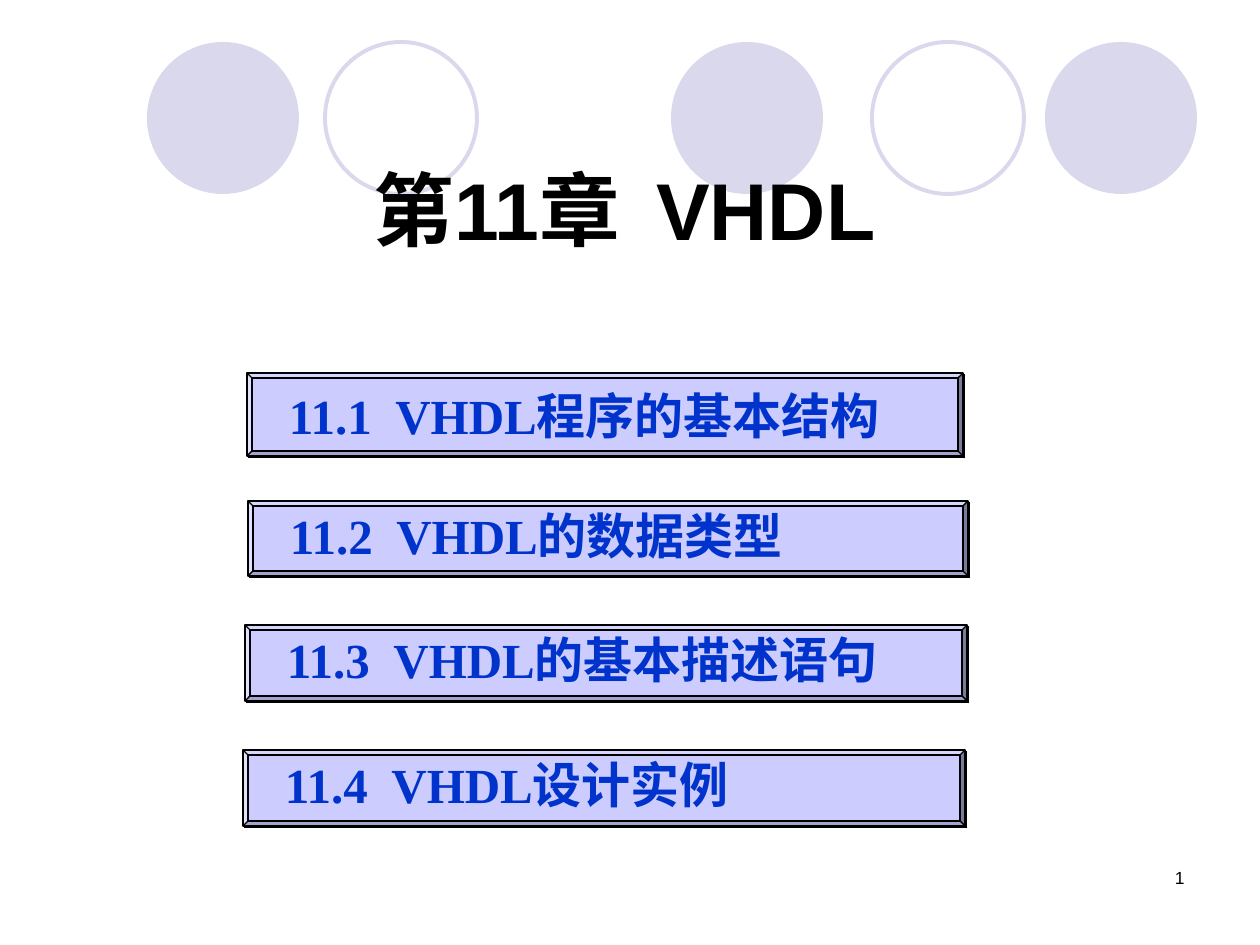
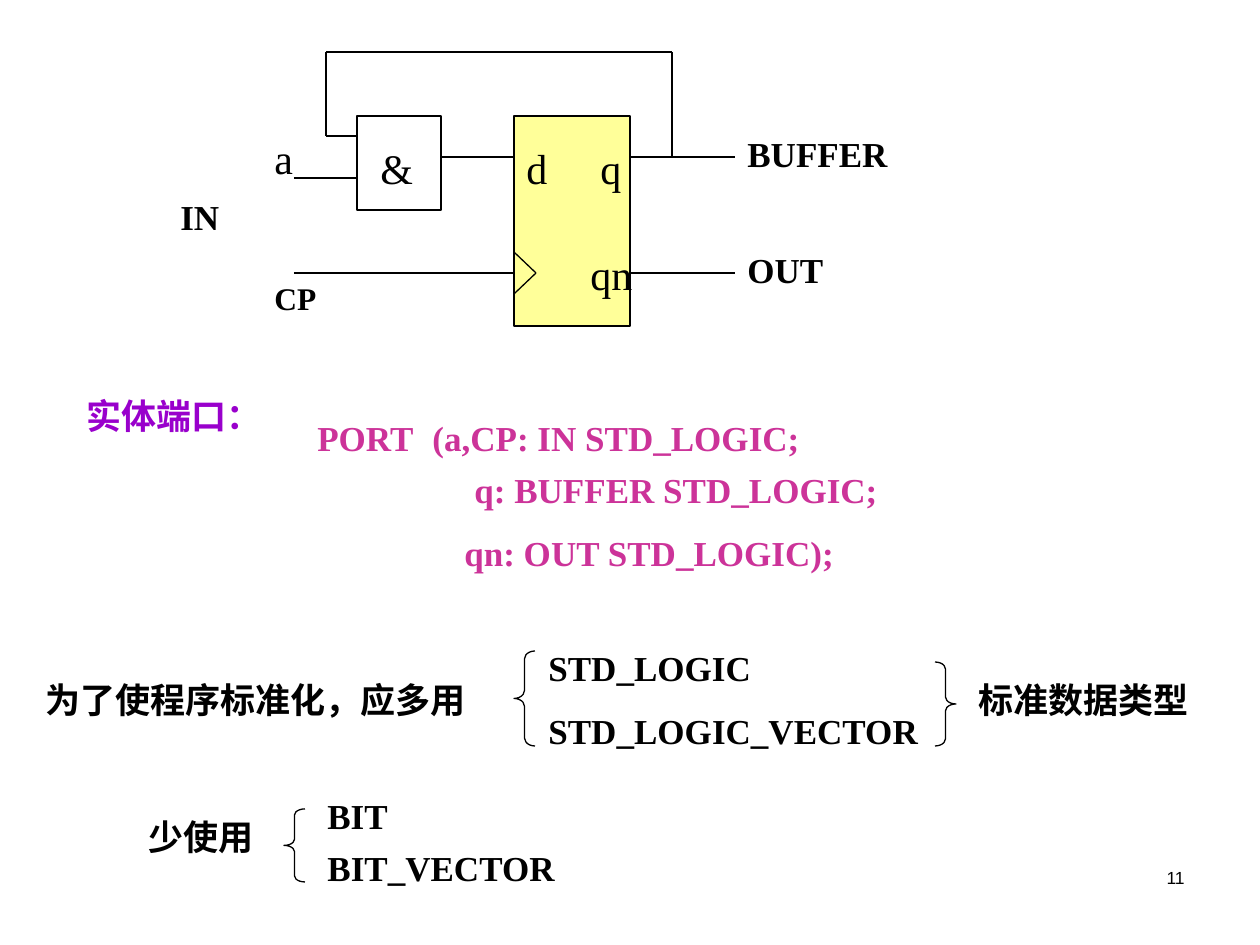
"""Build two slides on VHDL: a chapter menu and the ports of a circuit."""
from lxml.etree import SubElement
from pptx import Presentation
from pptx.dml.color import RGBColor
from pptx.enum.shapes import MSO_CONNECTOR, MSO_SHAPE
from pptx.enum.text import MSO_ANCHOR, PP_ALIGN
from pptx.oxml.ns import qn
from pptx.util import Emu, Pt

COLORS = {"ink": "000000", "pale": "D9D8EC", "bar": "CCCCFF", "link": "0033CC",
          "chip": "FFFF99", "code": "CC3399", "head": "9900CC"}
SANS, SERIF = "Arial", "Times New Roman"

TITLE = "第11章  VHDL"
DISKS = [671, 1045, 147]
RINGS = [872, 325]
BARS = [
    ("11.1  VHDL程序的基本结构", 247, 373, 716, 83),
    ("11.2  VHDL的数据类型", 248, 501, 720, 75),
    ("11.3  VHDL的基本描述语句", 245, 625, 722, 76),
    ("11.4  VHDL设计实例", 243, 750, 722, 76),
]
BEVEL, INDENT = 5, 37

GATE = (357, 116, 84, 94)
CHIP = (514, 116, 116, 210)
WIRES = [
    (441, 157, 514, 157), (294, 273, 514, 273), (294, 178, 357, 178),
    (326, 136, 357, 136), (326, 52, 326, 136), (326, 52, 672, 52),
    (630, 273, 735, 273), (630, 157, 735, 157), (672, 52, 672, 157),
    (514, 252, 536, 273), (536, 273, 514, 294),
]
PINS = [("a", 262, 126, 42), ("&", 368, 136, 53), ("d", 514, 136, 42),
        ("q", 588, 136, 53), ("qn", 578, 242, 84)]
CLOCK = [("CP", 262, 273, 95)]
MODES = [("IN", 168, 189, 74), ("BUFFER", 735, 126, 189), ("OUT", 735, 242, 158)]
HEAD = [("实体端口：", 74, 388, 210)]
CODE = [("PORT", 305, 410, 126), ("(a,CP: IN STD_LOGIC;", 420, 410, 400),
        ("q: BUFFER STD_LOGIC;", 462, 462, 473), ("qn: OUT STD_LOGIC);", 452, 525, 441)]
TYPES = [
    ("为了使程序标准化，应多用", 33, 672, 460), ("STD_LOGIC", 536, 640, 242),
    ("STD_LOGIC_VECTOR", 536, 703, 420), ("标准数据类型", 966, 672, 262),
    ("少使用", 136, 809, 147), ("BIT", 315, 788, 100), ("BIT_VECTOR", 315, 840, 260),
]
LEFT, RIGHT = MSO_SHAPE.LEFT_BRACE, MSO_SHAPE.RIGHT_BRACE
BRACES = [(LEFT, 514, 651, 21, 95), (RIGHT, 935, 662, 21, 84), (LEFT, 284, 809, 21, 73)]


def px(*sizes):
    return [Emu(round(size * 914400 / 126)) for size in sizes]


def tint(name):
    return RGBColor.from_string(COLORS[name])


def write(frame, text, size, color, face=SERIF, bold=False):
    frame.word_wrap = True
    frame.text = text
    para = frame.paragraphs[0]
    font = para.runs[0].font
    font.name, font.size, font.bold = face, Pt(size), bold
    font.color.rgb = tint(color)
    return para


def label(shapes, text, box, size, color="ink", face=SERIF, bold=False):
    frame = shapes.add_textbox(*px(*box)).text_frame
    return write(frame, text, size, color, face, bold)


def labels(shapes, items, size, color="ink", bold=True):
    for text, x, y, w in items:
        label(shapes, text, (x, y, w, size * 21 // 10 + 13), size, color, bold=bold)


def draw(shapes, kind, box, fill=None, line="ink", width=0.75):
    shape = shapes.add_shape(kind, *px(*box))
    shape.shadow.inherit = False
    if fill:
        shape.fill.solid()
        shape.fill.fore_color.rgb = tint(fill)
    else:
        shape.fill.background()
    if line:
        shape.line.color.rgb = tint(line)
        shape.line.width = Pt(width)
    else:
        shape.line.fill.background()
    return shape


def shade(shape):
    effects = shape._element.spPr.find(qn("a:effectLst"))
    drop = SubElement(effects, qn("a:outerShdw"), dist="17961", dir="2700000")
    SubElement(drop, qn("a:srgbClr"), val=COLORS["ink"])


def wire(shapes, ends):
    line = shapes.add_connector(MSO_CONNECTOR.STRAIGHT, *px(*ends))
    line.line.color.rgb = tint("ink")
    line.line.width = Pt(0.75)
    SubElement(line._element.spPr, qn("a:effectLst"))


def page(deck, number):
    shapes = deck.slides.add_slide(deck.slide_layouts[6]).shapes
    label(shapes, number, (903, 861, 294, 63), 10, face=SANS).alignment = PP_ALIGN.RIGHT
    return shapes


def menu(deck):
    shapes = page(deck, "1")
    for x in DISKS:
        draw(shapes, MSO_SHAPE.OVAL, (x, 42, 152, 152), "pale", None)
    for x in RINGS:
        draw(shapes, MSO_SHAPE.OVAL, (x, 42, 152, 152), None, "pale", 2.25)
    title = shapes.add_textbox(*px(84, 145, 1081, 126)).text_frame
    title.vertical_anchor = MSO_ANCHOR.MIDDLE
    write(title, TITLE, 46, "ink", SANS, True).alignment = PP_ALIGN.CENTER
    for index, (text, *box) in enumerate(BARS):
        bar = draw(shapes, MSO_SHAPE.BEVEL, box, "bar")
        bar.adjustments[0] = BEVEL / box[3]
        shade(bar)
        frame = bar.text_frame
        frame.margin_left, frame.margin_right = px(INDENT, 0)
        frame.vertical_anchor = MSO_ANCHOR.MIDDLE
        para = write(frame, text, 28, "link", bold=True)
        para.alignment = PP_ALIGN.LEFT
        para.line_spacing = 0.9 if index else 1.0


def ports(deck):
    shapes = page(deck, "11")
    parts = shapes.add_group_shape().shapes
    draw(parts, MSO_SHAPE.RECTANGLE, GATE)
    draw(parts, MSO_SHAPE.RECTANGLE, CHIP, "chip")
    for ends in WIRES:
        wire(parts, ends)
    labels(parts, PINS, 24, bold=False)
    labels(parts, CLOCK, 18)
    labels(parts, MODES, 20)
    labels(shapes, HEAD, 20, "head")
    labels(shapes, CODE, 20, "code")
    labels(shapes, TYPES, 20)
    for kind, *box in BRACES:
        brace = draw(shapes, kind, box)
        brace.adjustments[0] = box[3] / box[2] / 12


def main():
    deck = Presentation()
    deck.slide_width, deck.slide_height = px(1260, 945)
    menu(deck)
    ports(deck)
    deck.save("out.pptx")


if __name__ == "__main__":
    main()
